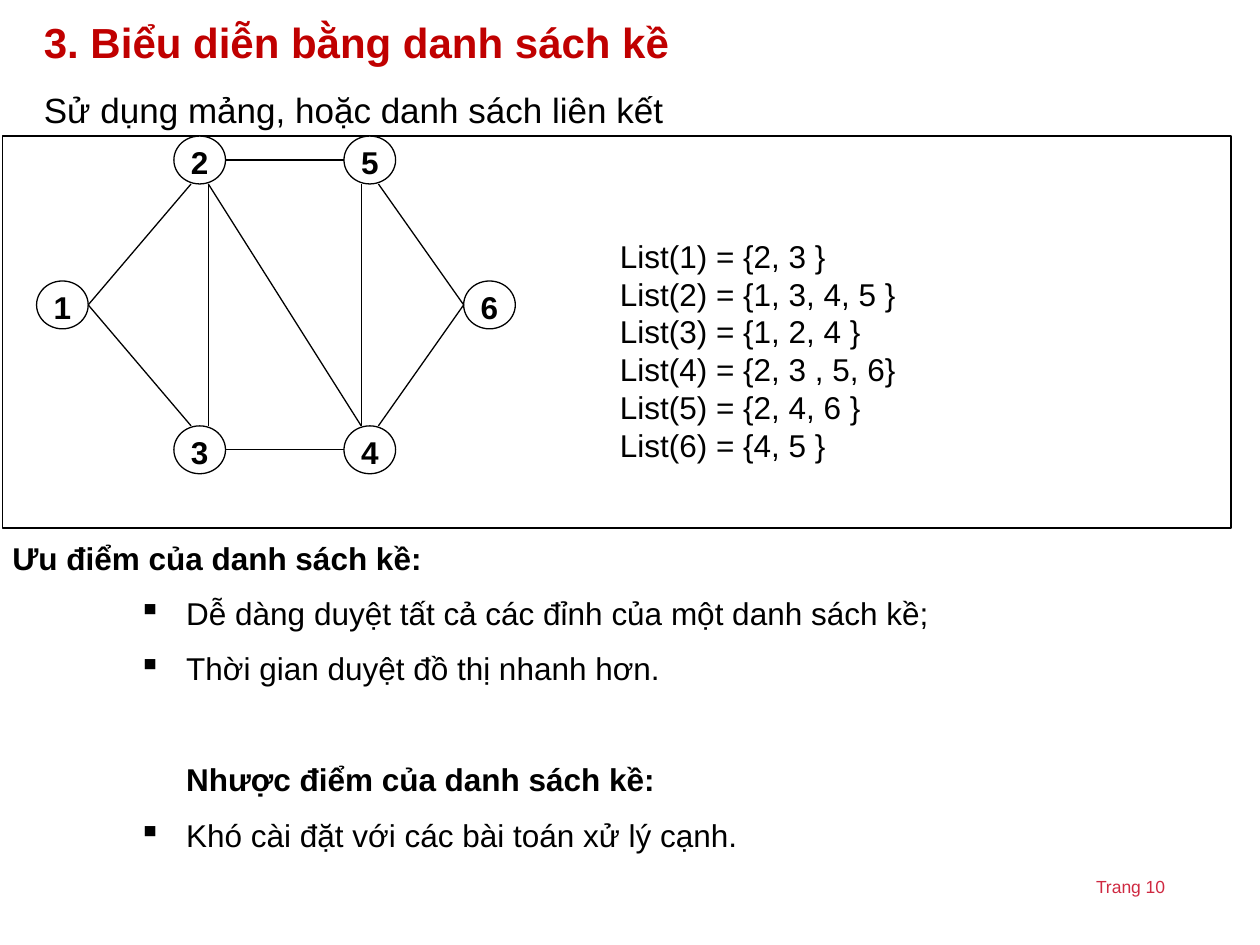
from lxml.etree import SubElement
from pptx import Presentation
from pptx.dml.color import RGBColor
from pptx.enum.shapes import MSO_CONNECTOR, MSO_SHAPE
from pptx.enum.text import MSO_ANCHOR, MSO_AUTO_SIZE, PP_ALIGN
from pptx.oxml.ns import qn
from pptx.util import Inches, Pt

BLACK = RGBColor(0x00, 0x00, 0x00)
WHITE = RGBColor(0xFF, 0xFF, 0xFF)
RED = RGBColor(0xC0, 0x00, 0x00)
PAGE_RED = RGBColor(0xCF, 0x29, 0x41)
FONT = "Arial"
LINE_WIDTH = Pt(0.75)

# Graph: top-left corner of each node, in inches
NODE_W, NODE_H = 0.41, 0.38
NODES = {
    1: (0.29, 2.23),
    2: (1.38, 1.08),
    5: (2.73, 1.08),
    3: (1.38, 3.38),
    4: (2.73, 3.38),
    6: (3.68, 2.23),
}

# Points of a node where edges end, as fractions of its box
LEFT, RIGHT = (0, 1 / 2), (1, 1 / 2)
TOP_L, TOP_R = (1 / 3, 0), (2 / 3, 0)
BOTTOM_L, BOTTOM_R = (1 / 3, 1), (2 / 3, 1)
EDGES = [
    (1, RIGHT, 2, BOTTOM_L),
    (2, RIGHT, 5, LEFT),
    (1, RIGHT, 3, TOP_L),
    (3, RIGHT, 4, LEFT),
    (4, TOP_R, 6, LEFT),
    (6, LEFT, 5, BOTTOM_R),
    (2, BOTTOM_R, 3, TOP_R),
    (4, TOP_L, 5, BOTTOM_L),
    (2, BOTTOM_R, 4, TOP_L),
]

ADJACENCY = [
    "List(1) = {2, 3 }",
    "List(2) = {1, 3, 4, 5 }",
    "List(3) = {1, 2, 4 }",
    "List(4) = {2, 3 , 5, 6}",
    "List(5) = {2, 4, 6 }",
    "List(6) = {4, 5 }",
]

# Text, bulleted, left margin in inches, space before in points
REMARKS = [
    ("Ưu điểm của danh sách kề:", False, 0, 10.1),
    ("Dễ dàng duyệt tất cả các đỉnh của một danh sách kề;", True, 1.38, 10.1),
    ("Thời gian duyệt đồ thị nhanh hơn.", True, 1.38, 10.1),
    ("Nhược điểm của danh sách kề:", False, 1.38, 41.8),
    ("Khó cài đặt với các bài toán xử lý cạnh.", True, 1.38, 10.1),
]


def format_paragraph(p, size, color=BLACK, bold=False, before=0):
    p.space_before = Pt(before)
    for r in p.runs:
        r.font.name = FONT
        r.font.size = Pt(size)
        r.font.bold = bold
        r.font.color.rgb = color


def set_indent(p, left, first=0):
    pPr = p._p.get_or_add_pPr()
    pPr.set("marL", str(Inches(left)))
    pPr.set("indent", str(Inches(first)))
    return pPr


def add_bullet(p, left):
    pPr = set_indent(p, left, -0.38)
    color = SubElement(pPr, qn("a:buClr"))
    SubElement(color, qn("a:srgbClr")).set("val", str(BLACK))
    SubElement(pPr, qn("a:buChar")).set("char", "▪")


def add_text(s, x, y, w, h, lines):
    sp = s.shapes.add_textbox(Inches(x), Inches(y), Inches(w), Inches(h))
    tf = sp.text_frame
    tf.text = "\n".join(lines)
    tf.word_wrap = True
    tf.auto_size = MSO_AUTO_SIZE.SHAPE_TO_FIT_TEXT
    return tf


def add_box(s, kind, x, y, w, h, fill=None, outlined=True):
    sp = s.shapes.add_shape(kind, Inches(x), Inches(y), Inches(w), Inches(h))
    sp.shadow.inherit = False
    if fill is None:
        sp.fill.background()
    else:
        sp.fill.solid()
        sp.fill.fore_color.rgb = fill
    if outlined:
        sp.line.color.rgb = BLACK
        sp.line.width = LINE_WIDTH
    else:
        sp.line.fill.background()
    tf = sp.text_frame
    tf.vertical_anchor = MSO_ANCHOR.TOP
    tf.margin_left = tf.margin_right = tf.margin_top = tf.margin_bottom = 0
    return tf


def add_node(s, number):
    x, y = NODES[number]
    tf = add_box(s, MSO_SHAPE.OVAL, x, y, NODE_W, NODE_H, WHITE)
    tf.text = str(number)
    p = tf.paragraphs[0]
    p.alignment = PP_ALIGN.CENTER
    format_paragraph(p, 18, bold=True)


def node_point(number, anchor):
    x, y = NODES[number]
    return Inches(x + NODE_W * anchor[0]), Inches(y + NODE_H * anchor[1])


def add_edge(s, start, start_anchor, end, end_anchor):
    line = s.shapes.add_connector(
        MSO_CONNECTOR.STRAIGHT,
        *node_point(start, start_anchor),
        *node_point(end, end_anchor),
    )
    line.line.color.rgb = BLACK
    line.line.width = LINE_WIDTH
    SubElement(line._element.spPr, qn("a:effectLst"))


def add_adjacency(s):
    tf = add_box(s, MSO_SHAPE.RECTANGLE, 4.42, 1.27, 3.52, 2.91, WHITE, False)
    tf.margin_top = Inches(0.61)
    tf.text = "\n".join(ADJACENCY)
    for p in tf.paragraphs:
        p.alignment = PP_ALIGN.LEFT
        set_indent(p, 0.5)
        format_paragraph(p, 18)


def add_remarks(s):
    tf = add_text(s, 0, 4.22, 10, 2.61, [row[0] for row in REMARKS])
    tf.vertical_anchor = MSO_ANCHOR.MIDDLE
    for p, (_, bulleted, left, before) in zip(tf.paragraphs, REMARKS):
        p.alignment = PP_ALIGN.JUSTIFY
        format_paragraph(p, 18, bold=not bulleted, before=before)
        if bulleted:
            p.level = 2
            add_bullet(p, left)
        else:
            set_indent(p, left)


def main():
    prs = Presentation()
    prs.slide_width, prs.slide_height = Inches(10), Inches(7.5)
    s = prs.slides.add_slide(prs.slide_layouts[6])

    # Page number
    tf = add_text(s, 8.6, 6.9, 1.21, 0.27, ["Trang 10"])
    format_paragraph(tf.paragraphs[0], 10, PAGE_RED)

    # Title and subtitle
    tf = add_text(s, 0.25, 0.08, 9.5, 1.01, [
        "3. Biểu diễn bằng danh sách kề",
        "Sử dụng mảng, hoặc danh sách liên kết",
    ])
    title, subtitle = tf.paragraphs
    format_paragraph(title, 24, RED, bold=True, before=15)
    format_paragraph(subtitle, 20, before=12.5)

    # Advantages and drawbacks
    add_remarks(s)

    # Framed graph with its adjacency lists
    add_box(s, MSO_SHAPE.RECTANGLE, 0.02, 1.08, 9.75, 3.11)
    add_adjacency(s)
    for number in NODES:
        add_node(s, number)
    for edge in EDGES:
        add_edge(s, *edge)

    prs.save("out.pptx")


if __name__ == "__main__":
    main()
